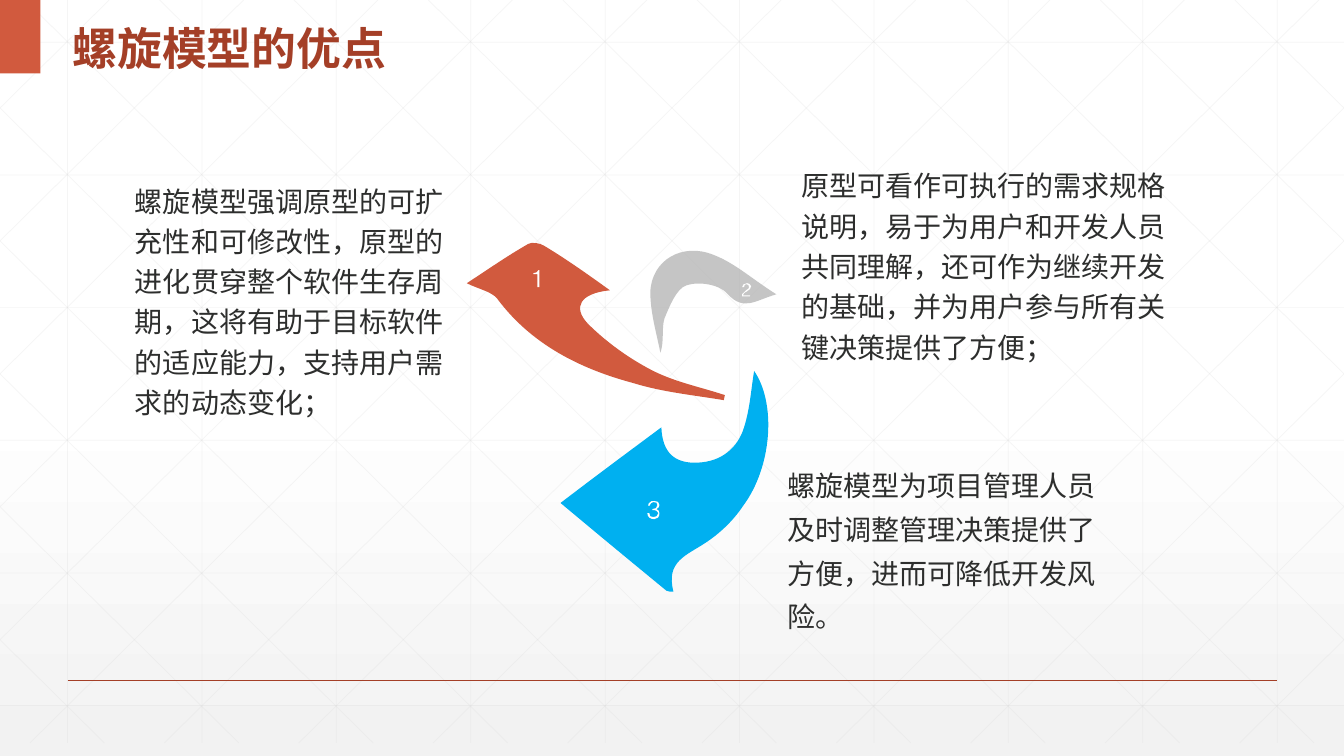
from lxml.etree import SubElement
from pptx import Presentation
from pptx.dml.color import RGBColor
from pptx.enum.shapes import MSO_CONNECTOR, MSO_SHAPE
from pptx.enum.text import MSO_ANCHOR
from pptx.oxml.ns import qn
from pptx.util import Pt

PX = 9144  # EMU per px, 100 px to the inch
WIDTH, HEIGHT = 1333, 750
FONT = "Noto Sans CJK SC"
RUST, BRICK, GREY, BLUE = "D15A3E", "A43F27", "B2B2B2", "00B0F0"
WHITE, PALE, INK, MESH = "FFFFFF", "F2F2F2", "2D2E2D", "D9D9D9"

# Outlines: a start point, then points (2 numbers) or Bezier curves (6 numbers)
ARROW_1 = [
    (142, 48), (112, 51, 105, 65, 120, 81), (138, 99, 160, 115, 183, 127),
    (206, 139, 232, 144, 256, 152), (256, 153, 255, 155, 255, 157),
    (225, 152, 194, 149, 165, 140), (113, 126, 64, 102, 30, 56),
    (24, 49, 12, 47, 0, 41), (20, 28, 40, 14, 61, 2),
    (64, 0, 73, 1, 77, 4), (97, 16, 117, 30, 142, 48),
]
ARROW_2 = [
    (125, 52), (104, 58, 93, 69, 77, 52), (69, 42, 48, 39, 36, 43),
    (26, 46, 19, 64, 14, 76), (11, 86, 14, 98, 10, 110),
    (6, 90, 0, 70, 0, 50), (1, 18, 32, 0, 63, 13), (84, 21, 101, 37, 125, 52),
]
ARROW_3 = [
    (105, 218), (71, 190, 37, 162, 0, 131), (34, 105, 65, 82, 100, 56),
    (101, 82, 114, 92, 136, 91), (160, 90, 176, 76, 182, 56),
    (188, 37, 189, 18, 192, 0), (214, 32, 210, 95, 181, 134),
    (171, 149, 157, 162, 143, 171), (125, 183, 104, 189, 112, 219),
    (109, 219, 107, 219, 105, 218),
]
DIGIT_1 = [(5, 0), (6, 0), (6, 17), (4, 17), (4, 4), (0, 4), (0, 3), (3, 3, 4, 2, 5, 0)]
DIGIT_2 = [
    (5, 0), (7, 0, 8, 1, 9, 3), (9, 5, 7, 7, 5, 8), (4, 9, 3, 9, 3, 9),
    (2, 10, 1, 11, 1, 12), (8, 12), (8, 13), (0, 13), (0, 11, 0, 10, 1, 10),
    (2, 9, 3, 8, 4, 7), (6, 6, 7, 5, 7, 4), (7, 2, 6, 1, 4, 1),
    (3, 1, 2, 2, 2, 4), (0, 4), (0, 2, 2, 0, 5, 0),
]
DIGIT_3 = [
    (7, 0), (10, 0, 12, 1, 12, 4), (12, 6, 11, 7, 9, 8), (11, 9, 12, 10, 12, 12),
    (12, 16, 10, 18, 7, 18), (3, 18, 0, 16, 0, 12), (2, 12), (2, 15, 3, 16, 6, 16),
    (9, 16, 10, 15, 11, 12), (10, 10, 9, 9, 5, 9), (5, 8), (8, 8, 10, 7, 10, 4),
    (10, 2, 9, 1, 6, 1), (4, 1, 3, 3, 2, 5), (1, 5), (1, 3, 1, 2, 3, 1),
    (3, 0, 5, 0, 7, 0),
]
# Box within the diagram, outline, colour, opacity in percent
SPIRAL = [
    ((0, 0, 256, 158), ARROW_1, RUST, 100),
    ((66, 28, 6, 18), DIGIT_1, WHITE, 100),
    ((182, 0, 125, 111), ARROW_2, GREY, 75),
    ((273, 41, 9, 13), DIGIT_2, WHITE, 100),
    ((93, 128, 214, 219), ARROW_3, BLUE, 100),
    ((179, 257, 12, 18), DIGIT_3, WHITE, 100),
]
# Box, line pitch in points, text
ADVANTAGES = [
    ((124, 171, 340, 252), 28.8,
     "螺旋模型强调原型的可扩充性和可修改性，原型的进化贯穿整个软件生存周期，"
     "这将有助于目标软件的适应能力，支持用户需求的动态变化；"),
    ((771, 450, 340, 185), 31.2,
     "螺旋模型为项目管理人员及时调整管理决策提供了方便，进而可降低开发风险。"),
    ((785, 156, 396, 212), 28.8,
     "原型可看作可执行的需求规格说明，易于为用户和开发人员共同理解，"
     "还可作为继续开发的基础，并为用户参与所有关键决策提供了方便；"),
]


def emu(*lengths):
    return [round(length * PX) for length in lengths]


def colour(value):
    return RGBColor.from_string(value)


def set_opacity(element, percent):
    for tint in element.iter(qn("a:srgbClr")):
        SubElement(tint, qn("a:alpha"), val=str(percent * 1000))


def paint(shape, value):
    shape.shadow.inherit = False
    shape.fill.solid()
    shape.fill.fore_color.rgb = colour(value)
    shape.line.fill.background()


def add_line(page, ends, value, width, opacity=100):
    line = page.shapes.add_connector(MSO_CONNECTOR.STRAIGHT, *emu(*ends))
    line.line.color.rgb = colour(value)
    line.line.width = Pt(width)
    properties = line._element.spPr
    if opacity < 100:
        set_opacity(properties, opacity)
    SubElement(properties, qn("a:effectLst"))


def add_text(page, box, text, size, value, spacing, bold=False, anchor=MSO_ANCHOR.TOP):
    frame = page.shapes.add_textbox(*emu(*box)).text_frame
    frame.word_wrap = True
    frame.vertical_anchor = anchor
    para = frame.paragraphs[0]
    para.line_spacing = spacing
    span = para.add_run()
    span.text = text
    para.font.size = Pt(size)
    para.font.bold = bold
    para.font.name = FONT
    para.font.color.rgb = colour(value)
    SubElement(span._r.get_or_add_rPr(), qn("a:ea"), typeface=FONT)


def add_outline(page, box, parts):
    """Frame a freeform by its box, then give it straight and curved segments."""
    left, top, width, height = emu(*box)
    builder = page.shapes.build_freeform(0, 0, scale=1.0)
    builder.add_line_segments([(width, height)])
    shape = builder.convert_to_shape(left, top)
    outline = next(shape._element.iter(qn("a:path")))
    for segment in list(outline):
        outline.remove(segment)
    for index, part in enumerate(parts):
        tag = "a:moveTo" if index == 0 else "a:lnTo" if len(part) == 2 else "a:cubicBezTo"
        segment = SubElement(outline, qn(tag))
        values = emu(*part)
        for x, y in zip(values[::2], values[1::2]):
            SubElement(segment, qn("a:pt"), x=str(x), y=str(y))
    SubElement(outline, qn("a:close"))
    return shape


def draw_backdrop(page, width, mesh_height):
    """Fade the page to pale grey and lay the faint mesh over it."""
    fill = page.background.fill
    fill.gradient()
    fill.gradient_angle = 270
    for stop, position, value in zip(fill.gradient_stops, (0.53, 1), (WHITE, PALE)):
        stop.position = position
        stop.color.rgb = colour(value)

    step, run = width / 10, 745
    lines = [(67 + step * i, 0, 67 + step * i, mesh_height) for i in range(10)]
    lines += [(0, 42 + 131.6 * i, width, 42 + 131.6 * i) for i in range(6)]
    slope = mesh_height / run
    for i in range(-5, 10):
        top = 25 + step * i
        x1, x2 = max(top, 0), min(top + run, width)
        y1, y2 = (x1 - top) * slope, (x2 - top) * slope
        lines += [(x1, y1, x2, y2), (width - x1, y1, width - x2, y2)]
    for ends in lines:
        add_line(page, ends, MESH, 0.5, opacity=25)


def draw_frame(page, width):
    """Add the corner block, the title and the rule at the foot."""
    add_line(page, (67, 675, width - 66, 675), BRICK, 1)
    block = page.shapes.add_shape(MSO_SHAPE.RECTANGLE, *emu(0, 0, 40, 73))
    paint(block, RUST)
    add_text(page, (62, 3, 569, 73), "螺旋模型的优点", 32, BRICK, 1.3,
             bold=True, anchor=MSO_ANCHOR.MIDDLE)


def draw_spiral(page, left, top):
    for (x, y, width, height), parts, value, opacity in SPIRAL:
        shape = add_outline(page, (left + x, top + y, width, height), parts)
        paint(shape, value)
        if opacity < 100:
            set_opacity(shape._element.spPr, opacity)


def main():
    deck = Presentation()
    deck.slide_width, deck.slide_height = emu(WIDTH, HEIGHT)
    page = deck.slides.add_slide(deck.slide_layouts[6])
    draw_backdrop(page, WIDTH, 737)
    draw_frame(page, WIDTH)
    for box, pitch, text in ADVANTAGES:
        add_text(page, box, text, 20, INK, Pt(pitch))
    draw_spiral(page, 463, 240)
    deck.save("out.pptx")


if __name__ == "__main__":
    main()
